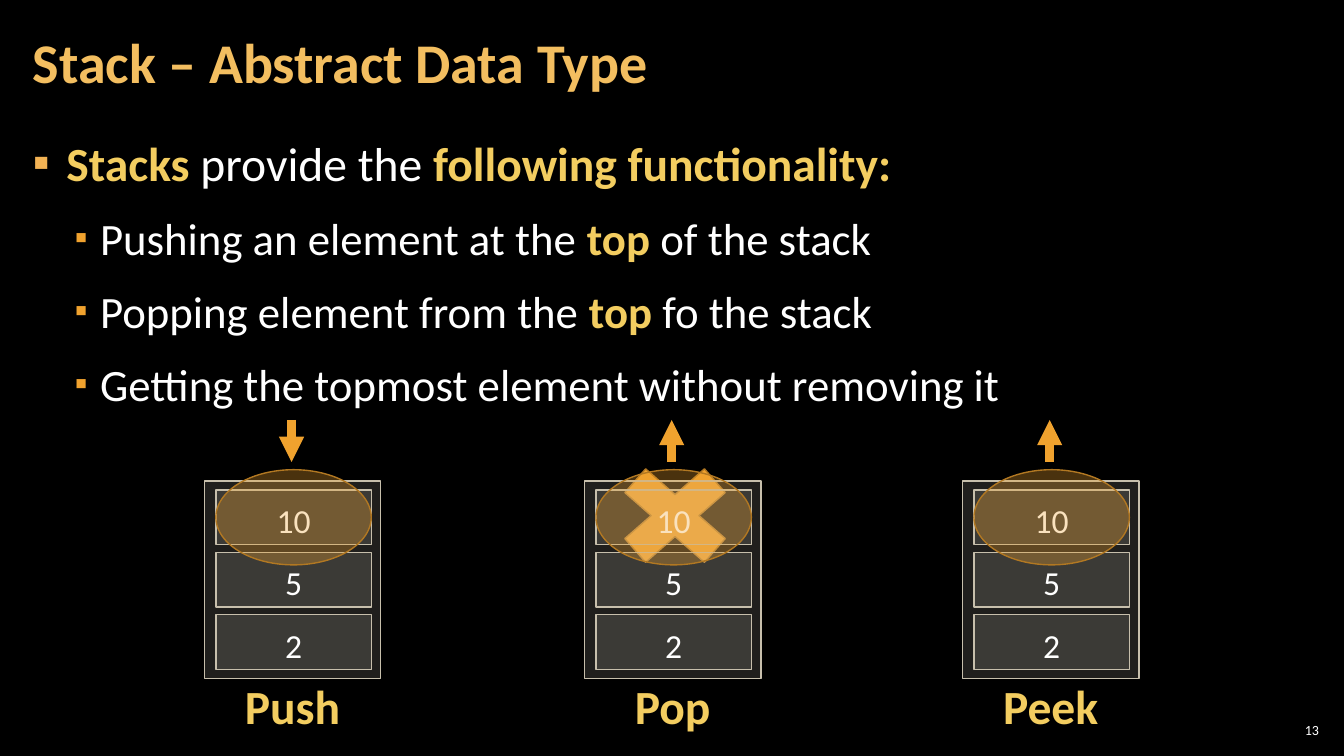
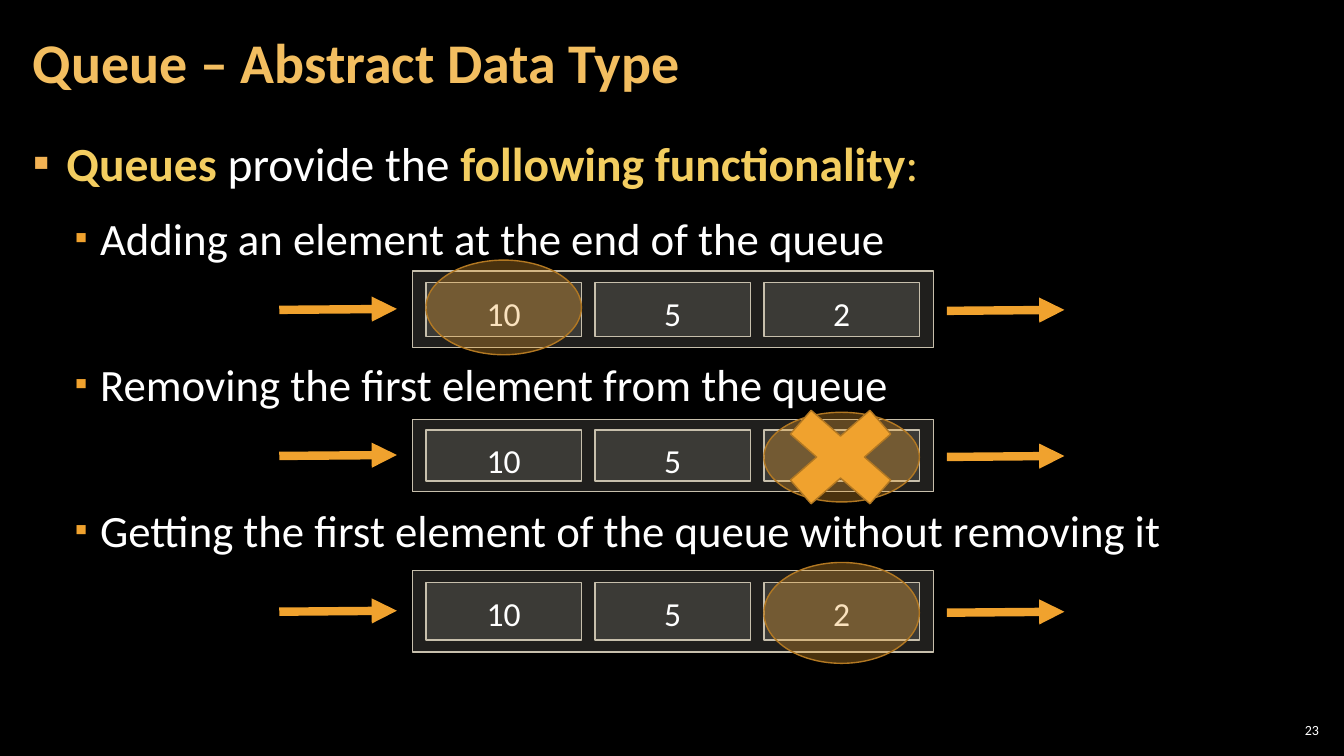
from dataclasses import dataclass

from lxml.etree import SubElement
from pptx import Presentation
from pptx.dml.color import RGBColor
from pptx.enum.shapes import MSO_CONNECTOR, MSO_SHAPE
from pptx.enum.text import MSO_ANCHOR, MSO_AUTO_SIZE, PP_ALIGN
from pptx.oxml.ns import qn
from pptx.util import Pt


@dataclass(frozen=True)
class Theme:
    font: str = "Calibri"
    background: str = "000000"
    text: str = "FFFFFF"
    title: str = "F3BE60"
    strong: str = "F3CD60"
    accent: str = "F0A22E"
    accent_line: str = "B27822"
    bullet: str = "F2B254"
    box: str = "D9D5C7"
    box_line: str = "C7BFAC"
    box_alpha: int = 15
    mark_alpha: int = 31
    title_size: int = 40
    lead_size: int = 34
    item_size: int = 32
    cell_size: int = 24
    number_size: int = 10


T = Theme()
VALUES = ["10", "5", "2"]
CELL_W = 111
CROSS_W, CROSS_H = 109.4, 95.8

STACK_SLIDE = {
    "title": "Stack – Abstract Data Type",
    "number": "13",
    "lead": [("Stacks ", "b"), ("provide the ", ""), ("following functionality:", "b")],
    "items": [
        [("Pushing an element at the ", ""), ("top ", "b"), ("of the stack", "")],
        [("Popping element from the ", ""), ("top ", "b"), ("fo the stack", "")],
        [("Getting the topmost element without removing it", "")],
    ],
    "item_gap": 6,
}
QUEUE_SLIDE = {
    "title": "Queue – Abstract Data Type",
    "number": "23",
    "lead": [("Queues ", "b"), ("provide the ", ""),
             ("following functionality", "b"), (":", "c")],
    "items": [
        [("Adding an element at the end of the queue", "")],
        [("Removing the first element from the queue", "")],
        [("Getting the first element of the queue without removing it", "")],
    ],
    "item_gap": 58,
}
STACKS = [
    {"label": "Push", "x": 146, "arrow": "down", "crossed": False},
    {"label": "Pop", "x": 417.5, "arrow": "up", "crossed": True},
    {"label": "Peek", "x": 687.5, "arrow": "up", "crossed": False},
]
QUEUES = [
    {"y": 193.7, "h": 54.7, "marked": 0, "mark_y": 219.6, "crossed": False},
    {"y": 299.5, "h": 51.8, "marked": 2, "mark_y": 326.5, "crossed": True},
    {"y": 407.5, "h": 58.3, "marked": 2, "mark_y": 437.8, "crossed": False},
]


def rgb(value):
    return RGBColor.from_string(value)


def add_run(p, text, size, color=T.text, bold=False):
    r = p.add_run()
    r.text = text
    r.font.name = T.font
    r.font.size = Pt(size)
    r.font.bold = bold
    r.font.color.rgb = rgb(color)


def set_frame(tf, insets, anchor=MSO_ANCHOR.TOP):
    tf.word_wrap = True
    tf.auto_size = MSO_AUTO_SIZE.NONE
    tf.vertical_anchor = anchor
    tf.margin_left, tf.margin_top, tf.margin_right, tf.margin_bottom = map(Pt, insets)


def add_text_box(s, x, y, w, h, insets=(8.5, 2.8, 8.5, 2.8), anchor=MSO_ANCHOR.TOP):
    tf = s.shapes.add_textbox(Pt(x), Pt(y), Pt(w), Pt(h)).text_frame
    set_frame(tf, insets, anchor)
    return tf


def set_bullet(p, left, hang, color, percent):
    pPr = p._p.get_or_add_pPr()
    pPr.set("marL", str(Pt(left)))
    pPr.set("indent", str(-Pt(hang)))
    SubElement(SubElement(pPr, qn("a:buClr")), qn("a:srgbClr")).set("val", color)
    SubElement(pPr, qn("a:buSzPct")).set("val", str(percent * 1000))
    SubElement(pPr, qn("a:buFont")).set("typeface", T.font)
    SubElement(pPr, qn("a:buChar")).set("char", "▪")


def add_bullets(s, lead, items, gap):
    tf = add_text_box(s, 15, 90.7, 930, 438.5)
    for i, runs in enumerate([lead] + items):
        p = tf.paragraphs[0] if i == 0 else tf.add_paragraph()
        p.line_spacing = 1.05
        p.space_before = Pt((0, 6)[i] if i < 2 else gap)
        p.space_after = Pt(6)
        if i == 0:
            set_bullet(p, 24, 24, T.bullet, 100)
        else:
            set_bullet(p, 48, 18, T.accent, 80)
        for text, style in runs:
            add_run(p, text, T.item_size if i else T.lead_size,
                    T.strong if style else T.text, style == "b")


def add_base_slide(prs, content):
    s = prs.slides.add_slide(prs.slide_layouts[5])
    title = s.shapes.title
    title.left, title.top, title.width, title.height = map(Pt, (15, 3, 754, 87))
    set_frame(title.text_frame, (8.5, 2.8, 8.5, 2.8), MSO_ANCHOR.MIDDLE)
    p = title.text_frame.paragraphs[0]
    p.alignment = PP_ALIGN.LEFT
    p.line_spacing = 0.9
    add_run(p, content["title"], T.title_size, T.title, True)
    tf = add_text_box(s, 911, 514, 34, 15, (2.8,) * 4, MSO_ANCHOR.MIDDLE)
    tf.paragraphs[0].alignment = PP_ALIGN.RIGHT
    add_run(tf.paragraphs[0], content["number"], T.number_size)
    add_bullets(s, content["lead"], content["items"], content["item_gap"])
    return s


def add_solid(shapes, kind, x, y, w, h, fill, line, alpha=100):
    sp = shapes.add_shape(kind, Pt(x), Pt(y), Pt(w), Pt(h))
    sp.shadow.inherit = False
    sp.fill.solid()
    sp.fill.fore_color.rgb = rgb(fill)
    if alpha < 100:
        color = sp._element.spPr.find(qn("a:solidFill"))[0]
        SubElement(color, qn("a:alpha")).set("val", str(alpha * 1000))
    sp.line.color.rgb = rgb(line)
    sp.line.width = Pt(1)
    return sp


def add_box(shapes, x, y, w, h):
    return add_solid(shapes, MSO_SHAPE.RECTANGLE, x, y, w, h, T.box, T.box_line, T.box_alpha)


def add_cell(shapes, x, y, h, value):
    tf = add_box(shapes, x, y, CELL_W, h).text_frame
    set_frame(tf, (14.4, 7.2, 14.4, 0))
    tf.paragraphs[0].alignment = PP_ALIGN.CENTER
    add_run(tf.paragraphs[0], value, T.cell_size)


def add_mark(shapes, x, center_y, h):
    add_solid(shapes, MSO_SHAPE.OVAL, x, center_y - h / 2, CELL_W, h,
              T.accent, T.accent_line, T.mark_alpha)


def add_cross(shapes, x, center_y):
    add_solid(shapes, MSO_SHAPE.MATH_MULTIPLY, x, center_y - CROSS_H / 2,
              CROSS_W, CROSS_H, T.accent, T.accent_line)


def add_arrow(shapes, x1, y1, x2, y2):
    c = shapes.add_connector(MSO_CONNECTOR.STRAIGHT, Pt(x1), Pt(y1), Pt(x2), Pt(y2))
    c.line.color.rgb = rgb(T.accent)
    c.line.width = Pt(6)
    SubElement(c.line._get_or_add_ln(), qn("a:tailEnd")).set("type", "triangle")
    SubElement(c._element.spPr, qn("a:effectLst"))


def add_stack(s, label, x, arrow, crossed):
    top = 343.5
    shapes = s.shapes.add_group_shape().shapes
    if crossed:
        add_cross(shapes, x + 10, top + 24.8)
    add_box(shapes, x, top, 126, 141)
    for i, value in enumerate(VALUES):
        add_cell(shapes, x + 8.2, top + 6.4 + i * 44.6, 39, value)
    add_mark(shapes, x + 8.2, top + 26, 68)
    start, end = (300, 330) if arrow == "down" else (330, 300)
    add_arrow(shapes, x + 62.3, start, x + 62.3, end)
    tf = add_text_box(s, x + 12, 479, 102, 50)
    p = tf.paragraphs[0]
    p.alignment = PP_ALIGN.CENTER
    p.line_spacing = 1.05
    add_run(p, label, T.lead_size, T.strong, True)


def add_queue(s, y, h, marked, mark_y, crossed):
    shapes = s.shapes.add_group_shape().shapes
    add_box(shapes, 294.5, y, 372.5, h)
    cells_x = [304.3 + i * 120.7 for i in range(len(VALUES))]
    pad = 0.147 * h
    for x, value in zip(cells_x, VALUES):
        add_cell(shapes, x, y + pad, h - 2 * pad, value)
    middle = y + h / 2
    for x, drop in ((199.5, 0.3), (676.3, 1)):
        add_arrow(shapes, x, middle + drop, x + 84, middle + drop - 0.7)
    add_mark(shapes, cells_x[marked], mark_y, 1.236 * h)
    if crossed:
        add_cross(shapes, cells_x[marked], mark_y)


def main():
    prs = Presentation()
    prs.slide_width, prs.slide_height = Pt(960), Pt(540)
    fill = prs.slide_master.background.fill
    fill.solid()
    fill.fore_color.rgb = rgb(T.background)
    s = add_base_slide(prs, STACK_SLIDE)
    for stack in STACKS:
        add_stack(s, **stack)
    s = add_base_slide(prs, QUEUE_SLIDE)
    for queue in QUEUES:
        add_queue(s, **queue)
    prs.save("out.pptx")


if __name__ == "__main__":
    main()
